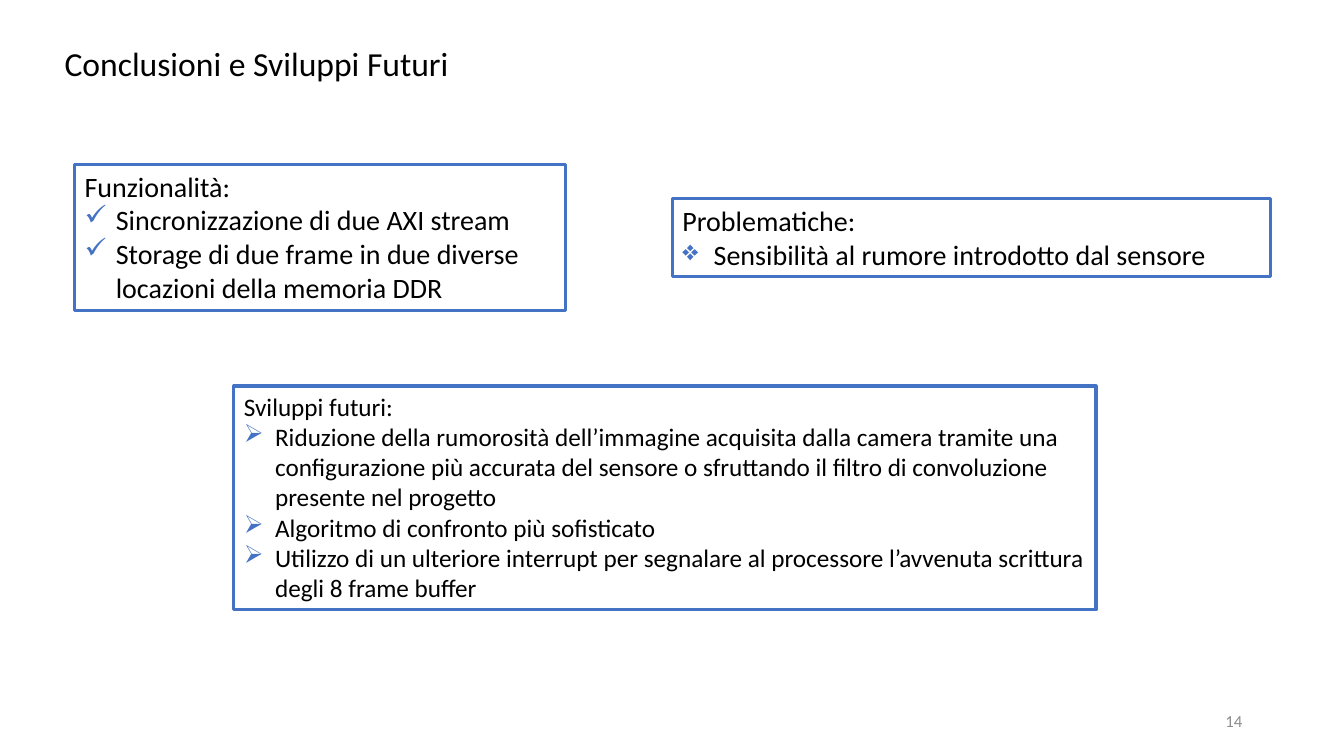
from lxml.etree import SubElement
from pptx import Presentation
from pptx.dml.color import RGBColor
from pptx.enum.shapes import MSO_SHAPE
from pptx.enum.text import MSO_ANCHOR, PP_ALIGN
from pptx.oxml.ns import qn
from pptx.util import Inches, Pt

BLACK = RGBColor(0x00, 0x00, 0x00)
BLUE = RGBColor(0x44, 0x72, 0xC4)
GRAY = RGBColor(0x8C, 0x8C, 0x8C)
FONT = "Calibri"
BULLET_INDENT = Inches(0.31)

# Box (left, top, width, height), text size, bullet, heading, items
PANELS = [
    ((0.74, 1.63, 4.87, 1.45), 20, "✓", "Funzionalità:", [
        "Sincronizzazione di due AXI stream",
        "Storage di due frame in due diverse locazioni della memoria DDR",
    ]),
    ((6.67, 1.97, 5.93, 0.77), 20, "❖", "Problematiche:", [
        "Sensibilità al rumore introdotto dal sensore",
    ]),
    ((2.32, 3.83, 8.55, 2.22), 18, "➢", "Sviluppi futuri:", [
        "Riduzione della rumorosità dell’immagine acquisita dalla camera tramite una "
        "configurazione più accurata del sensore o sfruttando il filtro di convoluzione "
        "presente nel progetto",
        "Algoritmo di confronto più sofisticato",
        "Utilizzo di un ulteriore interrupt per segnalare al processore l’avvenuta "
        "scrittura degli 8 frame buffer",
    ]),
]


def format_paragraph(paragraph, size, color=BLACK, alignment=PP_ALIGN.LEFT):
    paragraph.alignment = alignment
    paragraph.font.name = FONT
    paragraph.font.size = Pt(size)
    paragraph.font.color.rgb = color


def add_bullet(paragraph, character):
    """Give the paragraph a blue bullet with a hanging indent."""
    properties = paragraph._p.get_or_add_pPr()
    properties.set("marL", str(BULLET_INDENT))
    properties.set("indent", str(-BULLET_INDENT))
    bullet_color = SubElement(properties, qn("a:buClr"))
    SubElement(bullet_color, qn("a:srgbClr"), val=str(BLUE))
    SubElement(properties, qn("a:buChar"), char=character)


def add_title(slide, box):
    title = slide.shapes.title
    title.left, title.top, title.width, title.height = map(Inches, box)
    text_frame = title.text_frame
    text_frame.text = "Conclusioni e Sviluppi Futuri"
    text_frame.vertical_anchor = MSO_ANCHOR.TOP
    paragraph = text_frame.paragraphs[0]
    paragraph.line_spacing = 1.0
    paragraph.space_before = Pt(0)
    format_paragraph(paragraph, 24)


def add_panel(slide, box, size, bullet, heading, items):
    panel = slide.shapes.add_shape(MSO_SHAPE.RECTANGLE, *map(Inches, box))
    panel.shadow.inherit = False
    panel.fill.background()
    panel.line.color.rgb = BLUE
    panel.line.width = Pt(2.25)
    text_frame = panel.text_frame
    text_frame.word_wrap = True
    text_frame.vertical_anchor = MSO_ANCHOR.TOP
    text_frame.text = heading
    format_paragraph(text_frame.paragraphs[0], size)
    for item in items:
        paragraph = text_frame.add_paragraph()
        paragraph.text = item
        add_bullet(paragraph, bullet)
        format_paragraph(paragraph, size)


def add_slide_number(slide, box, number):
    text_box = slide.shapes.add_textbox(*map(Inches, box))
    text_frame = text_box.text_frame
    text_frame.word_wrap = True
    text_frame.vertical_anchor = MSO_ANCHOR.MIDDLE
    text_frame.text = str(number)
    format_paragraph(text_frame.paragraphs[0], 12, GRAY, PP_ALIGN.RIGHT)


def main():
    presentation = Presentation()
    presentation.slide_width = Inches(13.33)
    presentation.slide_height = Inches(7.5)
    slide = presentation.slides.add_slide(presentation.slide_layouts.get_by_name("Title Only"))
    add_title(slide, (0.54, 0.38, 5.01, 0.5))
    for panel in PANELS:
        add_panel(slide, *panel)
    add_slide_number(slide, (9.42, 6.95, 3, 0.4), 14)
    presentation.save("out.pptx")


if __name__ == "__main__":
    main()
